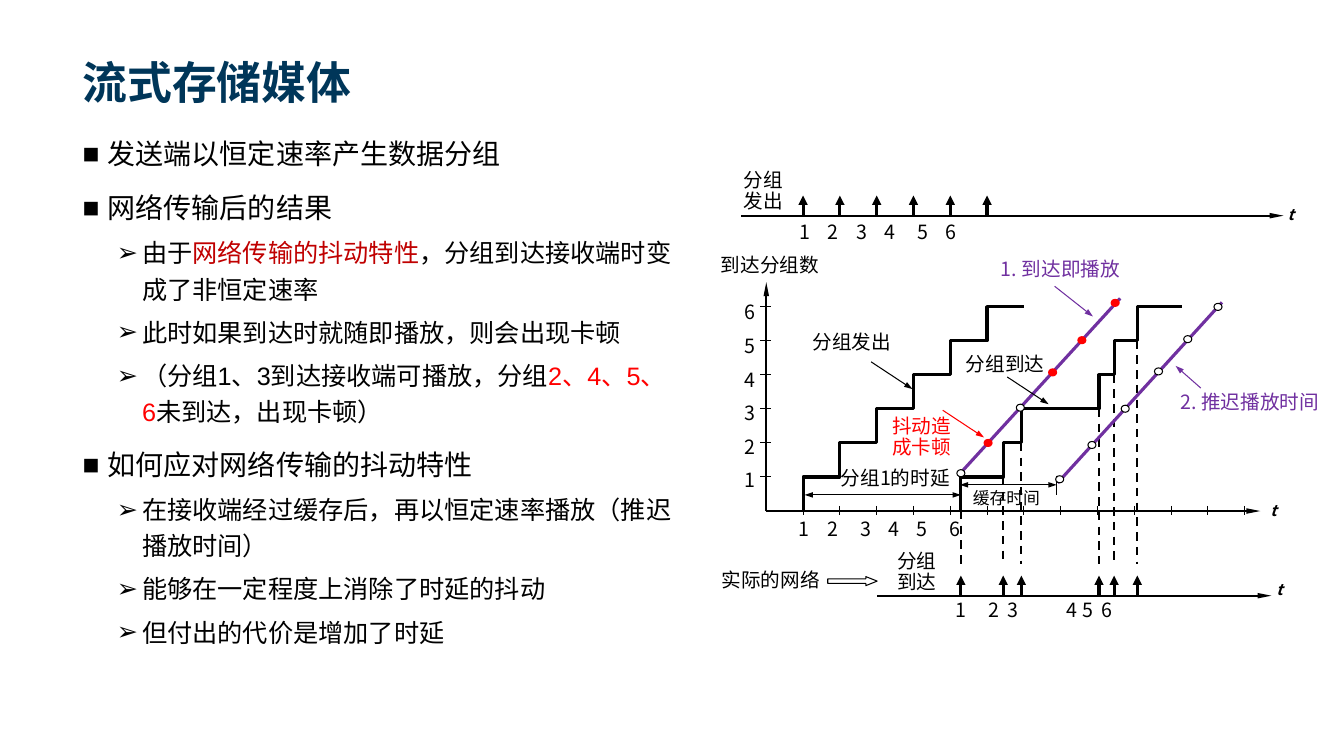
"""Build the slide on streaming stored media and its packet timing diagram."""
import pptx
import pptx.dml.color
import pptx.enum.dml
import pptx.enum.shapes
import pptx.enum.text
import pptx.oxml.ns
import pptx.util
from lxml import etree

COLORS = {"black": "000000", "white": "FFFFFF", "navy": "003659", "crimson": "C00000",
          "red": "FF0000", "purple": "7030A0"}
LATIN, CHINESE = "Arial", "Noto Sans CJK SC"
TITLE = "流式存储媒体"
POINTS = [
    (0, [("发送端以恒定速率产生数据分组", "black")]),
    (0, [("网络传输后的结果", "black")]),
    (1, [("由于", "black"), ("网络传输的抖动特性", "crimson"),
         ("，分组到达接收端时变成了非恒定速率", "black")]),
    (1, [("此时如果到达时就随即播放，则会出现卡顿", "black")]),
    (1, [("（分组1、3到达接收端可播放，分组", "black"), ("2、4、5、6", "red"),
         ("未到达，出现卡顿）", "black")]),
    (0, [("如何应对网络传输的抖动特性", "black")]),
    (1, [("在接收端经过缓存后，再以恒定速率播放（推迟播放时间）", "black")]),
    (1, [("能够在一定程度上消除了时延的抖动", "black")]),
    (1, [("但付出的代价是增加了时延", "black")]),
]
LEVELS = [("■", 0.25, 20, 10), ("➢", 0.59, 18, 5)]

ORIGIN_X, ORIGIN_Y, TICK, PACKET = 7.6, 5.07, 0.365, 0.338
SEND_Y, ARRIVE_Y = 2.14, 5.91
PACKETS = range(1, 7)
ARRIVALS = [9.53, 9.95, 10.13, 10.9, 11.05, 11.28]
ARROWHEADS = {0.75: ("sm", "med"), 1.5: ("sm", "lg"), 2.25: ("med", "med")}

LABELS = [
    ("到达分组数", 7.05, 2.49, 1.18, 14, "black"),
    ("分组发出", 7.96, 3.25, 0.99, 14, "black"),
    ("分组到达", 9.48, 3.47, 1.02, 14, "black"),
    ("分组1的时延", 8.24, 4.6, 1.3, 14, "black"),
    ("缓存时间", 9.55, 4.81, 0.88, 12, "black"),
    ("实际的网络", 7.06, 5.61, 1.18, 14, "black"),
    ("1. 到达即播放", 9.83, 2.53, 1.4, 14, "purple"),
    ("2. 推迟播放时间", 11.61, 3.85, 1.6, 14, "purple"),
    ("抖动造成卡顿", 8.75, 4.08, 0.85, 14, "red"),
    ("分组\n发出", 7.28, 1.64, 0.59, 14, "black"),
    ("分组\n到达", 8.8, 5.42, 0.59, 14, "black"),
]
TIME_LABELS = [(12.67, 1.99), (12.5, 4.92), (12.56, 5.71)]
NUMBER_ROWS = [
    (7.83, 2.13, [0.28, 0.57, 0.84, 1.17, 1.45]),
    (7.82, 5.08, [0.29, 0.62, 0.89, 1.17, 1.5]),
    (9.38, 5.88, [0.33, 0.51, 1.1, 1.26, 1.45]),
]
AXES = [(7.35, SEND_Y, 12.73, SEND_Y), (ORIGIN_X, ORIGIN_Y, ORIGIN_X, 2.8),
        (ORIGIN_X, ORIGIN_Y, 12.5, ORIGIN_Y), (8.7, ARRIVE_Y, 12.61, ARRIVE_Y)]
POINTERS = [(8.64, 3.59, 9.05, 3.86, "black"), (9.99, 3.74, 10.4, 4.01, "black"),
            (10.46, 2.84, 10.84, 3.14, "purple"), (11.91, 3.85, 11.66, 3.63, "purple"),
            (9.35, 4.07, 9.76, 4.34, "red")]
SPANS = [(7.98, 4.91, 9.53, 4.91), (9.52, 4.81, 10.48, 4.81)]
PLAYBACKS = [
    ((9.52, 4.7, 11.11, 2.96),
     [(9.53, 4.7, "white"), (9.8, 4.4, "red"), (10.12, 4.05, "white"),
      (10.44, 3.7, "red"), (10.73, 3.38, "red"), (11.06, 3.01, "red")]),
    ((10.49, 4.79, 12.12, 3),
     [(10.51, 4.76, "white"), (10.83, 4.42, "white"), (11.16, 4.06, "white"),
      (11.49, 3.69, "white"), (11.78, 3.37, "white"), (12.08, 3.05, "white")]),
]

inch = pptx.util.Inches
deck = pptx.Presentation()
deck.slide_width, deck.slide_height = inch(13.33), inch(7.5)
page = deck.slides.add_slide(deck.slide_layouts[6])


def rgb(color):
    return pptx.dml.color.RGBColor.from_string(COLORS[color])


def add_xml(parent, tag, **attributes):
    return etree.SubElement(parent, pptx.oxml.ns.qn(tag), attributes)


def time_x(tick):
    return ORIGIN_X + tick * TICK


def count_y(packets):
    return ORIGIN_Y - packets * PACKET


def style(span, size, color, font=CHINESE):
    span.font.size = pptx.util.Pt(size)
    span.font.name = font
    span.font.color.rgb = rgb(color)
    add_xml(span._r.get_or_add_rPr(), "a:ea", typeface=CHINESE)


def add_box(left, top, width, height, wrap=True):
    box = page.shapes.add_textbox(inch(left), inch(top), inch(width), inch(height))
    box.text_frame.word_wrap = wrap
    return box.text_frame


def add_label(text, left, top, width, size, color, spacing=0.9):
    lines = text.split("\n")
    frame = add_box(left, top, width, 0.1 + 0.21 * len(lines), wrap=width > 0.6)
    frame.text = text
    for para in frame.paragraphs:
        para.line_spacing = spacing
        for span in para.runs:
            style(span, size, color)
    return frame


def add_line(x1, y1, x2, y2, width, color="black", head=False, tail=False, dash=False):
    line = page.shapes.add_connector(pptx.enum.shapes.MSO_CONNECTOR.STRAIGHT,
                                     inch(x1), inch(y1), inch(x2), inch(y2))
    line.line.width = pptx.util.Pt(width)
    line.line.color.rgb = rgb(color)
    if dash:
        line.line.dash_style = pptx.enum.dml.MSO_LINE.DASH
    breadth, length = ARROWHEADS[width]
    for tag, wanted in (("a:headEnd", head), ("a:tailEnd", tail)):
        if wanted:
            add_xml(line.line._get_or_add_ln(), tag, type="triangle", w=breadth, len=length)
    add_xml(line._element.spPr, "a:effectLst")


def outline(shape, width, color="black", fill=None):
    shape.shadow.inherit = False
    shape.line.width = pptx.util.Pt(width)
    shape.line.color.rgb = rgb(color)
    if fill:
        shape.fill.solid()
        shape.fill.fore_color.rgb = rgb(fill)
    else:
        shape.fill.background()


def add_staircase(times, end):
    corners = []
    for packet, (left, right) in enumerate(zip(times, times[1:] + [end]), 1):
        level = inch(count_y(packet))
        corners += [(inch(left), level), (inch(right), level)]
    builder = page.shapes.build_freeform(inch(times[0]), inch(ORIGIN_Y))
    builder.add_line_segments(corners, close=False)
    outline(builder.convert_to_shape(), 2.25)


def add_outline_text():
    title = add_box(0.72, 0.15, 11.88, 0.98)
    title.vertical_anchor = pptx.enum.text.MSO_ANCHOR.BOTTOM
    title.text = TITLE
    style(title.paragraphs[0].runs[0], 32, "navy", LATIN)
    title.paragraphs[0].runs[0].font.bold = True
    body = add_box(0.72, 1.24, 6.05, 5.47)
    for index, (level, parts) in enumerate(POINTS):
        bullet, indent, size, before = LEVELS[level]
        para = body.add_paragraph() if index else body.paragraphs[0]
        para.level = level
        para.line_spacing = 1.2
        para.space_before = pptx.util.Pt(before if index else 0)
        properties = para._p.get_or_add_pPr()
        properties.set("marL", str(inch(indent)))
        properties.set("indent", str(inch(-0.25)))
        add_xml(properties, "a:buFont", typeface=LATIN)
        add_xml(properties, "a:buChar", char=bullet)
        for text, color in parts:
            span = para.add_run()
            span.text = text
            style(span, size, color, LATIN)


def add_scales():
    for axis in AXES:
        add_line(*axis, 1.5, tail=True)
    for tick in range(1, 14):
        add_line(time_x(tick), ORIGIN_Y - 0.05, time_x(tick), ORIGIN_Y + 0.04, 0.75)
    for packet in PACKETS:
        add_line(ORIGIN_X - 0.06, count_y(packet), ORIGIN_X + 0.05, count_y(packet), 0.75)
    add_label("\n".join(str(packet) for packet in reversed(PACKETS)),
              7.29, 2.83, 0.32, 14, "black", pptx.util.Pt(24))
    for left, top, stops in NUMBER_ROWS:
        frame = add_label("\t".join(map(str, PACKETS)), left, top, 2.17, 14, "black", 1.0)
        tabs = add_xml(frame.paragraphs[0]._p.get_or_add_pPr(), "a:tabLst")
        for stop in stops:
            add_xml(tabs, "a:tab", pos=str(inch(stop)), algn="l")
    for left, top in TIME_LABELS:
        font = add_label("t", left, top, 0.27, 11, "black", 1.0).paragraphs[0].runs[0].font
        font.bold = font.italic = True


def add_packets():
    departures = [time_x(packet) for packet in PACKETS]
    add_staircase(departures, time_x(7))
    add_staircase(ARRIVALS, 11.72)
    for times, base in ((departures, SEND_Y), (ARRIVALS, ARRIVE_Y)):
        for moment in times:
            add_line(moment, base, moment, base - 0.2, 2.25, tail=True)
    for earlier, moment in enumerate(ARRIVALS):
        add_line(moment, count_y(earlier), moment, 5.6, 1.5, dash=True)


def add_playbacks():
    shapes = pptx.enum.shapes.MSO_SHAPE
    for track, dots in PLAYBACKS:
        add_line(*track, 2.25, "purple")
        for x, y, fill in dots:
            dot = page.shapes.add_shape(shapes.OVAL, inch(x - 0.04), inch(y - 0.04),
                                        inch(0.08), inch(0.07))
            outline(dot, 0.75, "red" if fill == "red" else "black", fill)
    arrow = page.shapes.add_shape(shapes.RIGHT_ARROW, inch(8.21), inch(5.72),
                                  inch(0.49), inch(0.09))
    arrow.adjustments[1] = 1.25
    outline(arrow, 0.75)


add_outline_text()
add_scales()
add_packets()
for span_line in SPANS:
    add_line(*span_line, 0.75, head=True, tail=True)
add_line(10.48, 4.72, 10.48, 4.91, 0.75)
add_playbacks()
for x1, y1, x2, y2, color in POINTERS:
    add_line(x1, y1, x2, y2, 0.75, color, tail=True)
for label in LABELS:
    add_label(*label)
deck.save("out.pptx")
